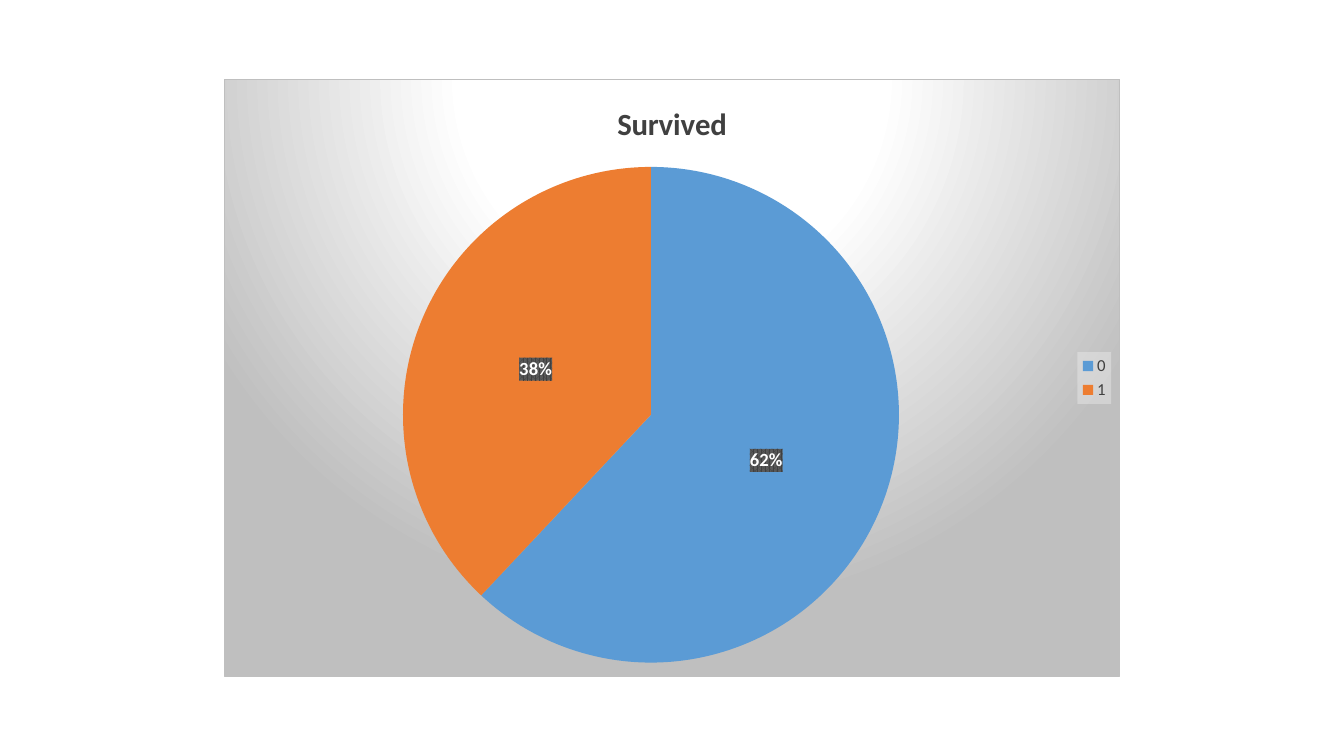
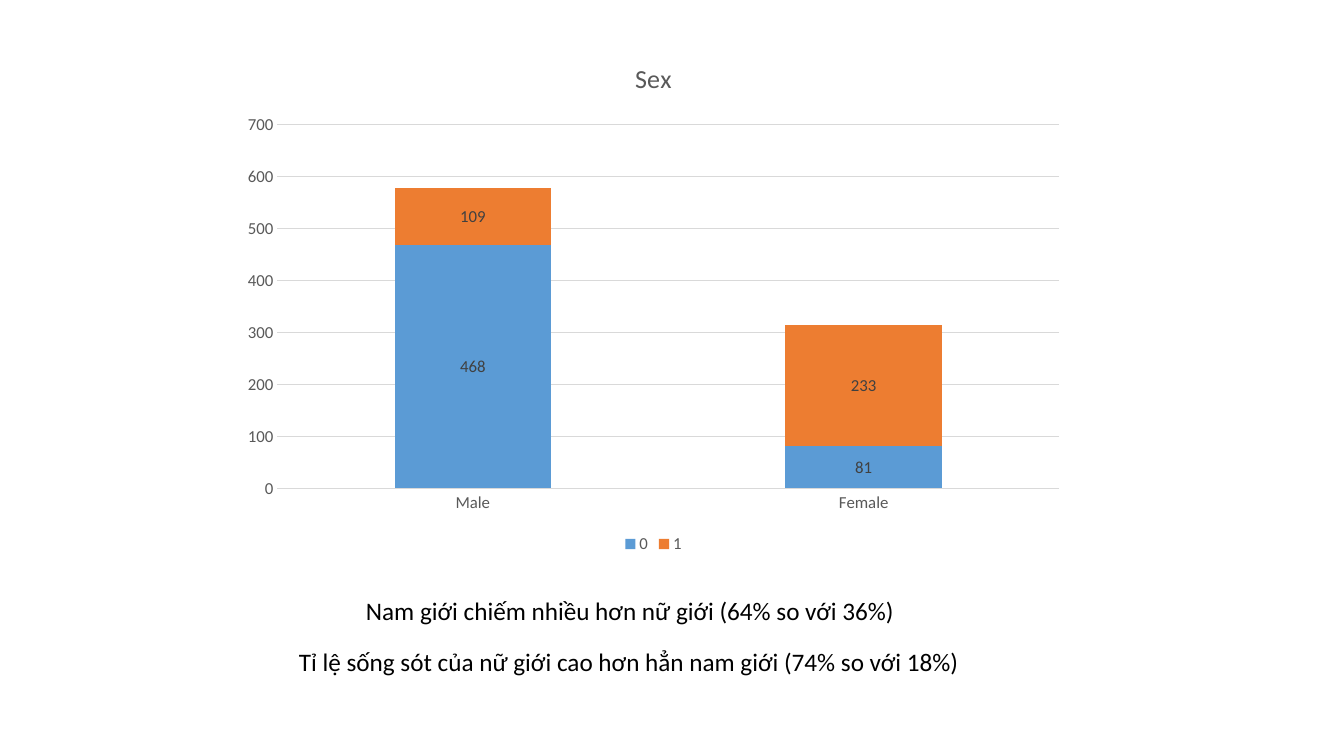
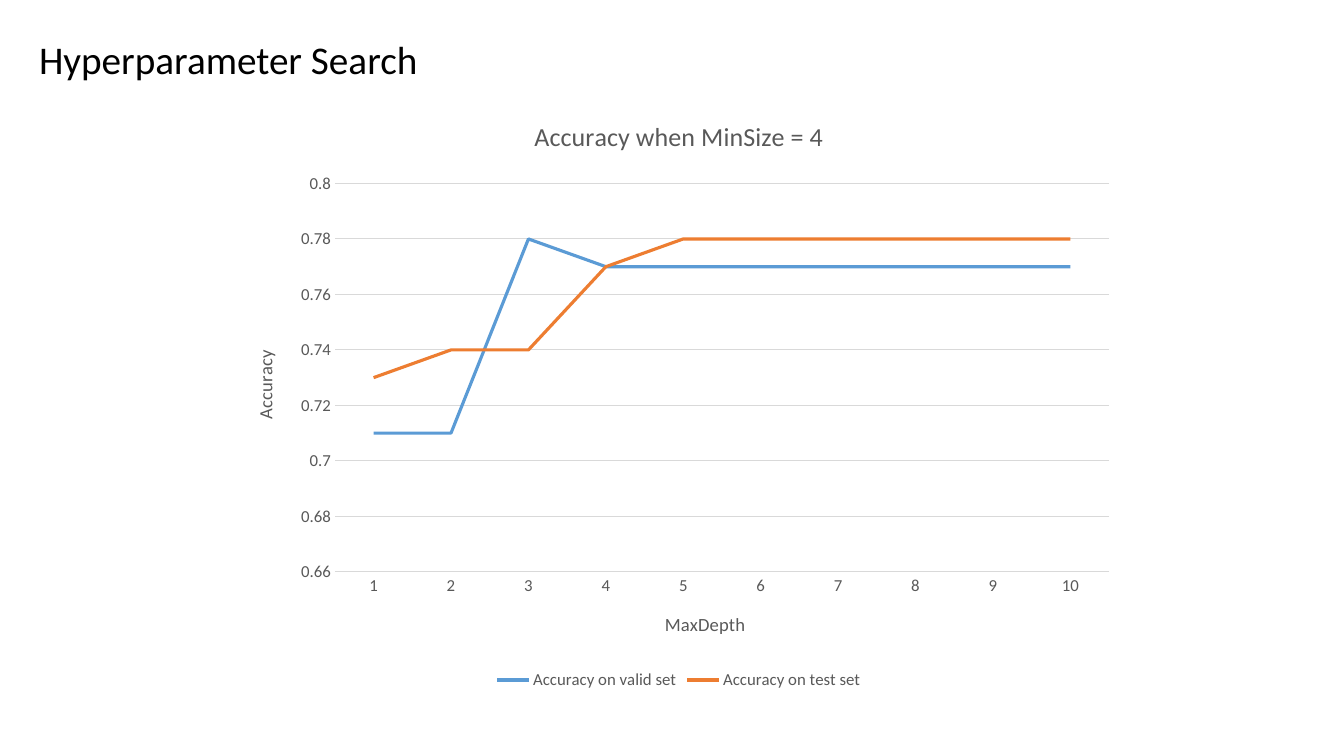
from lxml import etree
from pptx import Presentation
from pptx.chart.data import CategoryChartData
from pptx.dml.color import RGBColor
from pptx.enum.chart import XL_CHART_TYPE, XL_LABEL_POSITION, XL_LEGEND_POSITION, XL_TICK_MARK
from pptx.enum.text import MSO_ANCHOR, MSO_AUTO_SIZE, PP_ALIGN
from pptx.oxml.ns import qn
from pptx.util import Emu, Pt

PIE = XL_CHART_TYPE.PIE
STACKED = XL_CHART_TYPE.COLUMN_STACKED
LINE = XL_CHART_TYPE.LINE
CENTER = XL_LABEL_POSITION.CENTER
RIGHT = XL_LEGEND_POSITION.RIGHT
BOTTOM = XL_LEGEND_POSITION.BOTTOM
NO_TICK = XL_TICK_MARK.NONE
TOP = MSO_ANCHOR.TOP
LEFT = PP_ALIGN.LEFT
GROW = MSO_AUTO_SIZE.SHAPE_TO_FIT_TEXT

PX = 914400 / 100.8
FONT = "Calibri"
TITLE_ONLY, BLANK = 5, 6
COLORS = {
    "text": "000000",
    "muted": "595959",
    "dark": "404040",
    "grid": "D9D9D9",
    "edge": "BFBFBF",
    "pale": "F2F2F2",
    "white": "FFFFFF",
    "blue": "5B9BD5",
    "orange": "ED7D31",
}
SERIES_COLORS = ("blue", "orange")
NAMESPACES = (
    'xmlns:c="http://schemas.openxmlformats.org/drawingml/2006/chart" '
    'xmlns:a="http://schemas.openxmlformats.org/drawingml/2006/main"'
)


def px(*lengths):
    return [Emu(round(length * PX)) for length in lengths]


def rgb(name):
    return RGBColor.from_string(COLORS[name])


def set_font(font, size=12, color="muted", bold=False):
    font.name = FONT
    font.size = Pt(size)
    font.bold = bold
    font.color.rgb = rgb(color)


def write(frame, text, align=None, **style):
    paragraph = frame.paragraphs[0]
    paragraph.alignment = align
    run = paragraph.add_run()
    run.text = text
    set_font(run.font, **style)


def color_xml(name, inner=""):
    return f'<a:srgbClr val="{COLORS[name]}">{inner}</a:srgbClr>'


def paint(part, xml):
    properties = etree.fromstring(f"<c:spPr {NAMESPACES}>{xml}</c:spPr>")
    part.find(qn("c:txPr")).addprevious(properties)


class Deck:
    """Builds slides of charts and captions in one shared style."""

    def __init__(self):
        self.presentation = Presentation()
        self.presentation.slide_width, self.presentation.slide_height = px(1344, 756)
        self.slide = None

    def add_slide(self, layout=BLANK):
        self.slide = self.presentation.slides.add_slide(
            self.presentation.slide_layouts[layout])

    def fit(self, frame):
        frame.word_wrap = False
        frame.auto_size = GROW
        frame.vertical_anchor = TOP

    def title(self, text, *box):
        heading = self.slide.shapes.title
        heading.left, heading.top, heading.width, heading.height = px(*box)
        self.fit(heading.text_frame)
        write(heading.text_frame, text, align=LEFT, size=28, color="text")

    def caption(self, text, *box):
        frame = self.slide.shapes.add_textbox(*px(*box)).text_frame
        self.fit(frame)
        write(frame, text, size=18, color="text")

    def chart(self, kind, box, title, categories, series, legend=BOTTOM,
              legend_color="muted", **title_style):
        data = CategoryChartData()
        data.categories = categories
        for name, values in series.items():
            data.add_series(name, values)
        chart = self.slide.shapes.add_chart(kind, *px(*box), data).chart
        set_font(chart.font, size=10, color="text")
        chart.has_title = True
        write(chart.chart_title.text_frame, title,
              **{"size": 18.6, **title_style})
        chart.has_legend = True
        chart.legend.position = legend
        chart.legend.include_in_layout = False
        set_font(chart.legend.font, color=legend_color)
        return chart

    def labels(self, series, **style):
        labels = series.data_labels
        labels.show_value = True
        labels.position = CENTER
        set_font(labels.font, **style)
        return labels

    def axes(self, chart, low, high, step, names=(None, None)):
        for axis, name in zip((chart.category_axis, chart.value_axis), names):
            axis.major_tick_mark = axis.minor_tick_mark = NO_TICK
            set_font(axis.tick_labels.font)
            if name:
                write(axis.axis_title.text_frame, name, size=13.3)
        value_axis = chart.value_axis
        value_axis.minimum_scale, value_axis.maximum_scale = low, high
        value_axis.major_unit = step
        value_axis.format.line.fill.background()
        for line in (chart.category_axis.format.line,
                     value_axis.major_gridlines.format.line):
            line.color.rgb = rgb("grid")
            line.width = Pt(0.75)

    def pie(self, box, title, categories, values):
        chart = self.chart(PIE, box, title, categories, {title: values}, RIGHT,
                           "dark", size=22, color="dark", bold=True)
        plot = chart.plots[0]
        plot.vary_by_categories = True
        pie = plot.series[0]
        for index, color in enumerate(SERIES_COLORS):
            fill = pie.points[index].format.fill
            fill.solid()
            fill.fore_color.rgb = rgb(color)
        labels = self.labels(pie, size=13.3, color="white", bold=True)
        labels.show_value = False
        labels.show_percentage = True
        labels.number_format = "0%"
        labels.number_format_is_linked = False
        self.paint_pie(chart.element)

    def paint_pie(self, root):
        paint(root.find(f".//{qn('c:ser')}/{qn('c:dLbls')}"),
              f'<a:pattFill prst="pct75"><a:fgClr>{color_xml("dark")}</a:fgClr>'
              f'<a:bgClr>{color_xml("muted")}</a:bgClr></a:pattFill>')
        veil = color_xml("pale", '<a:alpha val="39000"/>')
        paint(root.find(f".//{qn('c:legend')}"),
              f"<a:solidFill>{veil}</a:solidFill>")
        stops = "".join(
            f'<a:gs pos="{place * 1000}">{color_xml(color)}</a:gs>'
            for place, color in ((0, "white"), (39, "white"), (100, "edge")))
        paint(root,
              f'<a:gradFill><a:gsLst>{stops}</a:gsLst><a:path path="circle">'
              '<a:fillToRect l="50000" t="-80000" r="50000" b="180000"/>'
              '</a:path></a:gradFill><a:ln w="9525"><a:solidFill>'
              f'{color_xml("edge")}</a:solidFill></a:ln>')

    def stacked(self, box, title, categories, series, scale):
        chart = self.chart(STACKED, box, title, categories, series)
        self.axes(chart, *scale)
        plot = chart.plots[0]
        plot.vary_by_categories = False
        plot.gap_width, plot.overlap = 150, 100
        for bars, color in zip(plot.series, SERIES_COLORS):
            bars.format.fill.solid()
            bars.format.fill.fore_color.rgb = rgb(color)
            self.labels(bars, color="dark")

    def lines(self, box, title, categories, series, scale, names):
        chart = self.chart(LINE, box, title, categories, series)
        self.axes(chart, *scale, names)
        plot = chart.plots[0]
        plot.vary_by_categories = False
        for curve, color in zip(plot.series, SERIES_COLORS):
            curve.smooth = False
            curve.format.line.color.rgb = rgb(color)
            curve.format.line.width = Pt(2.25)


def main():
    deck = Deck()

    deck.add_slide()
    deck.pie((224, 79, 896, 598), "Survived", ("0", "1"), (62, 38))

    deck.add_slide()
    deck.stacked((231, 40, 845, 518), "Sex", ("Male", "Female"),
                 {"0": (468, 81), "1": (109, 233)}, (0, 700, 100))
    deck.caption("Nam giới chiếm nhiều hơn nữ giới (64% so với 36%)",
                 356, 590, 555, 72)
    deck.caption("Tỉ lệ sống sót của nữ giới cao hơn hẳn nam giới (74% so với 18%)",
                 289, 641, 688, 40)

    deck.add_slide(TITLE_ONLY)
    deck.title("Hyperparameter Search", 29, 30, 402, 57)
    deck.lines((231, 96, 896, 598), "Accuracy when MinSize = 4",
               [str(depth) for depth in range(1, 11)],
               {"Accuracy on valid set": [0.71] * 2 + [0.78] + [0.77] * 7,
                "Accuracy on test set": [0.73, 0.74, 0.74, 0.77] + [0.78] * 6},
               (0.66, 0.8, 0.02), ("MaxDepth", "Accuracy"))

    deck.presentation.save("out.pptx")


if __name__ == "__main__":
    main()
